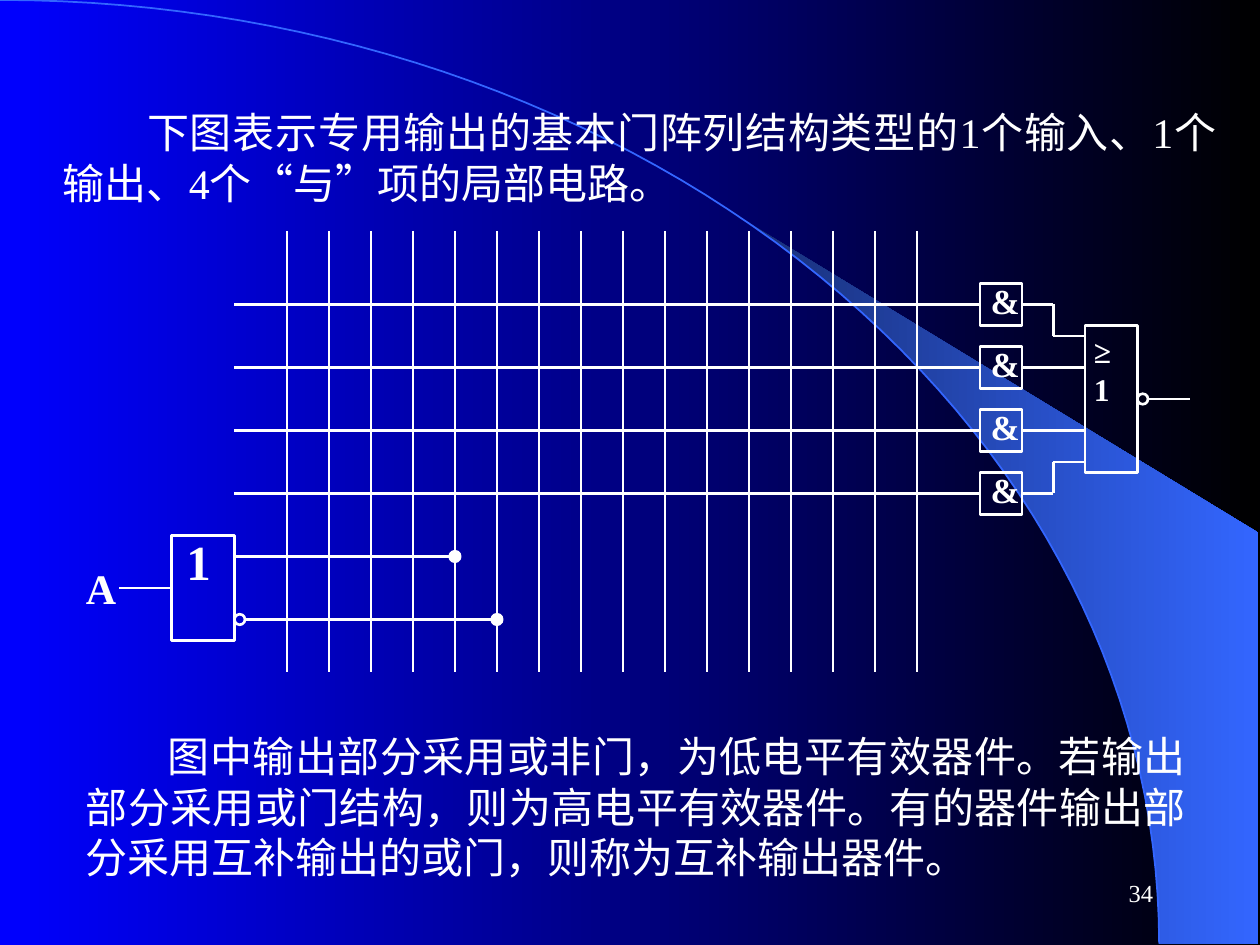
from math import asin, cos, pi, sin

from pptx import Presentation
from pptx.dml.color import RGBColor
from pptx.enum.shapes import MSO_CONNECTOR as CONN, MSO_SHAPE as SHAPE
from pptx.enum.text import MSO_ANCHOR as ANCHOR, PP_ALIGN as ALIGN
from pptx.oxml.ns import qn
from pptx.util import Inches, Pt
from lxml.etree import SubElement

WHITE = RGBColor(0xFF, 0xFF, 0xFF)
BLACK = RGBColor(0x00, 0x00, 0x00)
BLUE = RGBColor(0x00, 0x00, 0xFF)
SKY = RGBColor(0x33, 0x66, 0xFF)
NAVY = RGBColor(0x18, 0x2F, 0x76)

INTRO = "下图表示专用输出的基本门阵列结构类型的1个输入、1个输出、4个“与”项的局部电路。"
NOTE = ("图中输出部分采用或非门，为低电平有效器件。若输出部分采用或门结构，则为高电平有效器件。"
        "有的器件输出部分采用互补输出的或门，则称为互补输出器件。")


class Circuit:
    """Draws on one slide, with lengths in cells of a grid of 36 per inch."""

    font = "Times New Roman"
    weight = Pt(1.5)

    def __init__(self, slide):
        self.s = slide

    def cells(self, *values):
        return [Inches(v / 36) for v in values]

    def gradient(self, fill, start, end):
        fill.gradient()
        fill.gradient_angle = 0
        for stop, color in zip(fill.gradient_stops, (start, end)):
            stop.color.rgb = color

    def outline(self, points, close):
        start, *rest = [self.cells(*pt) for pt in points]
        fb = self.s.shapes.build_freeform(*start)
        fb.add_line_segments(rest, close=close)
        sp = fb.convert_to_shape()
        sp.shadow.inherit = False
        return sp

    def wire(self, *points):
        for a, b in zip(points, points[1:]):
            cn = self.s.shapes.add_connector(CONN.STRAIGHT, *self.cells(*a, *b))
            cn.line.color.rgb = WHITE
            cn.line.width = self.weight
            SubElement(cn._element.spPr, qn("a:effectLst"))

    def shape(self, kind, x, y, w, h, solid=False):
        sp = self.s.shapes.add_shape(kind, *self.cells(x, y, w, h))
        sp.shadow.inherit = False
        if solid:
            sp.fill.solid()
            sp.fill.fore_color.rgb = WHITE
        else:
            sp.fill.background()
        sp.line.color.rgb = WHITE
        sp.line.width = self.weight

    def dot(self, x, y, solid=False):
        self.shape(SHAPE.OVAL, x - 1.5, y - 1.5, 3, 3, solid)

    def text(self, words, x, y, w, h, size, bold=False, wrap=False,
             align=ALIGN.LEFT, indent=0):
        tf = self.s.shapes.add_textbox(*self.cells(x, y, w, h)).text_frame
        tf.word_wrap = wrap
        p = tf.paragraphs[0]
        p.text = words
        p.alignment = align
        if indent:
            p._p.get_or_add_pPr().set("indent", str(Inches(indent)))
        p.font.name = self.font
        p.font.size = Pt(size)
        p.font.bold = bold
        p.font.color.rgb = WHITE
        return tf


def draw_backdrop(c):
    rx, ry = 331.2, 269.6

    def arc(start, steps=60):
        angles = [start + (pi / 2 - start) * i / steps for i in range(steps + 1)]
        return [(rx * sin(t), ry * (1 - cos(t))) for t in angles]

    c.gradient(c.s.background.fill, BLUE, BLACK)
    wedge = c.outline(arc(asin(0.64)) + [(359.6, ry), (359.6, 152.3)], True)
    c.gradient(wedge.fill, NAVY, SKY)
    wedge.line.fill.background()
    curve = c.outline(arc(0), False)
    curve.fill.background()
    curve.line.color.rgb = SKY
    curve.line.width = Pt(1)


def draw_array(c):
    for i in range(16):
        x = 82 + 12 * i
        c.wire((x, 66), (x, 192))
    for i in range(4):
        y = 87 + 18 * i
        c.wire((67, y), (280, y))
        c.shape(SHAPE.RECTANGLE, 280, y - 6, 12, 12)
        c.text("&", 279.5, y - 9, 15.5, 16, 20, bold=True)


def draw_input(c):
    c.shape(SHAPE.RECTANGLE, 49, 153, 18, 30)
    c.wire((49, 168), (34, 168))
    c.wire((67, 159), (130, 159))
    c.wire((70, 177), (142, 177))
    c.dot(68.5, 177)
    c.dot(130, 159, solid=True)
    c.dot(142, 177, solid=True)
    c.text("1", 49.7, 150, 14, 20.5, 28, bold=True)
    c.text("A", 21, 159, 16, 18, 24, bold=True)


def draw_output(c):
    c.shape(SHAPE.RECTANGLE, 310, 93, 15, 42)
    for y in (105, 123):
        c.wire((292, y), (310, y))
    for y, turn in ((87, 96), (141, 132)):
        c.wire((292, y), (301, y), (301, turn), (310, turn))
    c.dot(326.5, 114)
    c.wire((328, 114), (340, 114))
    c.text("≥1", 309, 93, 16.5, 14.5, 18, bold=True)


def main():
    prs = Presentation()
    prs.slide_width, prs.slide_height = Inches(10), Inches(7.5)
    c = Circuit(prs.slides.add_slide(prs.slide_layouts[6]))
    draw_backdrop(c)
    number = c.text("34", 258, 246, 75, 18, 14, wrap=True, align=ALIGN.RIGHT)
    number.vertical_anchor = ANCHOR.MIDDLE
    c.text(INTRO, 14.4, 28.8, 336.6, 32.4, 24, wrap=True,
           align=ALIGN.JUSTIFY, indent=0.67)
    draw_array(c)
    draw_input(c)
    draw_output(c)
    c.text(NOTE, 21, 207, 321.5, 46.8, 24, wrap=True,
           align=ALIGN.JUSTIFY, indent=0.65)
    prs.save("out.pptx")


if __name__ == "__main__":
    main()
